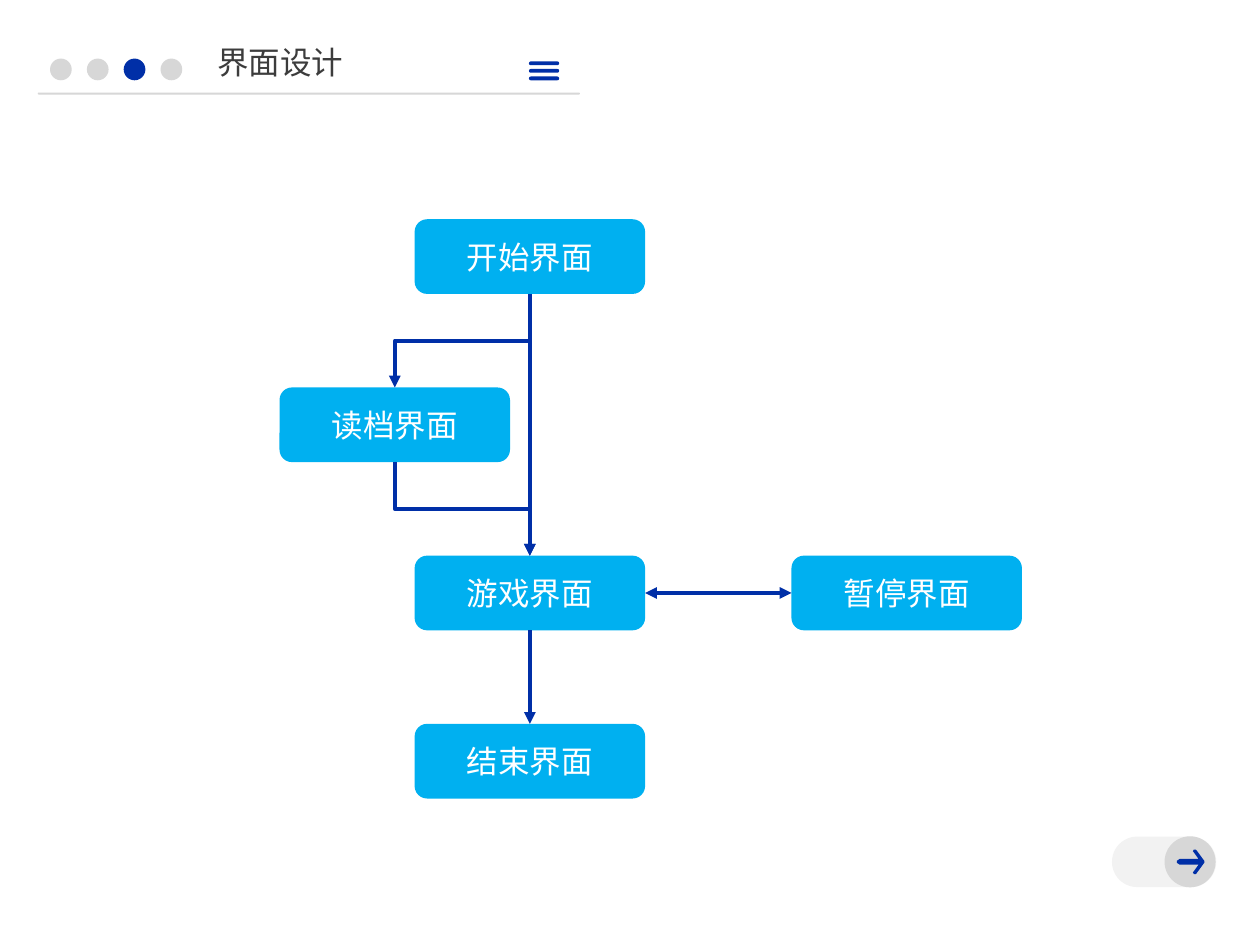
from lxml import etree
from pptx import Presentation
from pptx.dml.color import RGBColor
from pptx.enum import shapes, text
from pptx.oxml.ns import qn
from pptx.util import Inches, Pt

NAVY = RGBColor(0x00, 0x2F, 0xA7)
SKY = RGBColor(0x00, 0xB0, 0xF0)
GREY = RGBColor(0xD7, 0xD7, 0xD7)
PALE = RGBColor(0xF2, 0xF2, 0xF2)
DARK = RGBColor(0x3C, 0x3C, 0x3C)
WHITE = RGBColor(0xFF, 0xFF, 0xFF)
OVAL = shapes.MSO_SHAPE.OVAL
ROUNDED = shapes.MSO_SHAPE.ROUNDED_RECTANGLE

deck = Presentation()
deck.slide_width, deck.slide_height = Inches(13.34), Inches(10)
page = deck.slides.add_slide(deck.slide_layouts.get_by_name("Title Only"))


def add_filled(kind, left, top, width, height, color):
    box = page.shapes.add_shape(
        kind, Inches(left), Inches(top), Inches(width), Inches(height))
    box.shadow.inherit = False
    box.fill.solid()
    box.fill.fore_color.rgb = color
    box.line.fill.background()
    return box


def write(box, words, font, color, align):
    frame = box.text_frame
    frame.word_wrap = True
    frame.auto_size = text.MSO_AUTO_SIZE.NONE
    frame.vertical_anchor = text.MSO_ANCHOR.MIDDLE
    para = frame.paragraphs[0]
    para.alignment = align
    span = para.add_run()
    span.text = words
    span.font.color.rgb = color
    for name, value in {"size": Pt(24), "bold": False, "name": font}.items():
        setattr(span.font, name, value)
    # Chinese characters take the East Asian typeface
    etree.SubElement(span._r.get_or_add_rPr(), qn("a:ea"), typeface=font)
    return para


# Header: title, rule, progress dots and menu icon
title = page.shapes.title
for name, value in {"left": 2.2, "top": 0.43, "width": 3.11, "height": 0.44}.items():
    setattr(title, name, Inches(value))
heading = write(title, "界面设计", "Noto Sans CJK SC", DARK, text.PP_ALIGN.LEFT)
heading.space_before = Pt(10)

add_filled(ROUNDED, 0.4, 0.98, 5.74, 0.02, GREY).adjustments[0] = 0.5
for index in range(4):
    add_filled(OVAL, 0.53 + 0.39 * index, 0.62, 0.23, 0.23,
               NAVY if index == 2 else GREY)
for index in range(3):
    bar = add_filled(ROUNDED, 5.6, 0.65 + 0.08 * index, 0.32, 0.04, NAVY)
    bar.adjustments[0] = 0.5

# Next button
pill = add_filled(ROUNDED, 11.78, 8.86, 1.09, 0.52, PALE)
pill.adjustments[0] = 0.5
pill.line.color.rgb = PALE
pill.line.width = Pt(1)
add_filled(OVAL, 12.33, 8.85, 0.54, 0.54, GREY)

# Upper half of the arrow, mirrored about its axis for the lower half
axis = 9.12
upper = [(12.46, 0.01), (12.49, 0.03), (12.69, 0.03), (12.64, 0.1), (12.63, 0.11),
         (12.64, 0.13), (12.66, 0.13), (12.67, 0.12), (12.75, 0.01)]
outline = [(x, axis - rise) for x, rise in upper]
outline += [(x, axis + rise) for x, rise in reversed(upper)]
points = [(Inches(x), Inches(y)) for x, y in outline]
builder = page.shapes.build_freeform(*points[0])
builder.add_line_segments(points[1:], close=True)
arrow = builder.convert_to_shape()
arrow.shadow.inherit = False
arrow.fill.solid()
arrow.fill.fore_color.rgb = NAVY
arrow.line.fill.background()

# Flow chart: name -> (left edge, row)
NODES = {
    "开始界面": (4.39, 0),
    "读档界面": (2.96, 1),
    "游戏界面": (4.39, 2),
    "暂停界面": (8.38, 2),
    "结束界面": (4.39, 3),
}
nodes = {}
for words, (left, row) in NODES.items():
    nodes[words] = add_filled(ROUNDED, left, 2.32 + 1.78 * row, 2.44, 0.79, SKY)
    write(nodes[words], words, "Arial", WHITE, text.PP_ALIGN.CENTER)

# Connection sites of a rounded rectangle
TOP, LEFT, BOTTOM, RIGHT = range(4)
STRAIGHT, ELBOW = shapes.MSO_CONNECTOR.STRAIGHT, shapes.MSO_CONNECTOR.ELBOW
LINKS = [
    (ELBOW, "开始界面", BOTTOM, "读档界面", TOP, ["tailEnd"]),
    (STRAIGHT, "开始界面", BOTTOM, "游戏界面", TOP, ["tailEnd"]),
    (ELBOW, "读档界面", BOTTOM, "游戏界面", TOP, ["tailEnd"]),
    (STRAIGHT, "游戏界面", BOTTOM, "结束界面", TOP, ["tailEnd"]),
    (STRAIGHT, "游戏界面", RIGHT, "暂停界面", LEFT, ["headEnd", "tailEnd"]),
]
for kind, source, exit_site, target, entry_site, heads in LINKS:
    link = page.shapes.add_connector(kind, 0, 0, 0, 0)
    link.begin_connect(nodes[source], exit_site)
    link.end_connect(nodes[target], entry_site)
    link.line.color.rgb = NAVY
    link.line.width = Pt(3)
    for head in heads:
        etree.SubElement(link.line._get_or_add_ln(), qn("a:" + head), type="triangle")
    etree.SubElement(link._element.spPr, qn("a:effectLst"))
    if kind == ELBOW:
        # Turn the elbow a quarter so that it leaves and arrives vertically
        width, height = link.width, link.height
        shift = (width - height) // 2
        link.left, link.top = link.left + shift, link.top - shift
        link.width, link.height = height, width
        frame = link._element.spPr.xfrm
        leftward = frame.flipH
        frame.flipH = not leftward
        frame.set("rot", str((90 if leftward else 270) * 60000))

deck.save("out.pptx")
